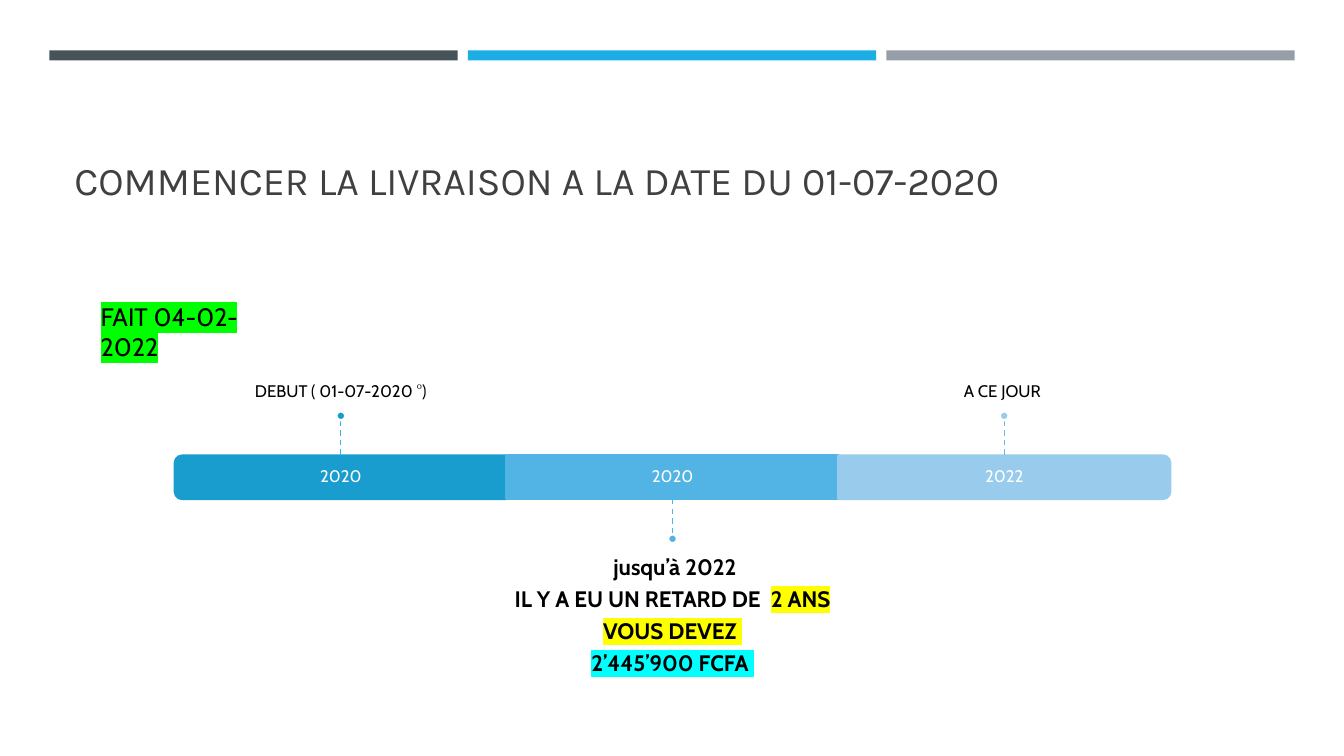
from dataclasses import dataclass

from lxml import etree
from pptx import Presentation
from pptx.dml.color import RGBColor
from pptx.enum import dml, shapes, text
from pptx.oxml.ns import qn
from pptx.util import Inches, Pt


@dataclass(frozen=True)
class Theme:
    heading_font: str = "Karla"
    body_font: str = "Cabin"
    title_size: int = 28
    note_size: int = 18
    detail_size: int = 16
    label_size: int = 12
    title: str = "404040"
    ink: str = "000000"
    white: str = "FFFFFF"
    green: str = "00FF00"
    yellow: str = "FFFF00"
    cyan: str = "00FFFF"
    header: tuple = ("465359", "1CADE4", "969FA7")
    segments: tuple = ("199DCF", "52B3E5", "99CBEC")
    stems: tuple = ("36B3E9", "48B8EC", "5ABEEF")


THEME = Theme()
SHAPE = shapes.MSO_SHAPE
ANCHOR = text.MSO_ANCHOR

# Timeline geometry in inches
FIRST_CENTER, PITCH = 3.38, 3.29
BAR_TOP, BAR_HEIGHT = 4.52, 0.43
STEM_LENGTH, DOT_SIZE = 0.35, 0.09
LABEL_WIDTH, LABEL_HEIGHT = 5.48, 1.52


def color(value):
    return RGBColor.from_string(value)


def add_block(slide, preset, left, top, width, height, fill, line=None):
    shape = slide.shapes.add_shape(
        preset, Inches(left), Inches(top), Inches(width), Inches(height))
    shape.shadow.inherit = False
    shape.fill.solid()
    shape.fill.fore_color.rgb = color(fill)
    if line:
        shape.line.color.rgb = color(line)
        shape.line.width = Pt(1.75)
    else:
        shape.line.fill.background()
    return shape


def format_run(run, font, size, ink, bold, highlight):
    run.font.name = font
    run.font.size = Pt(size)
    run.font.bold = bold
    run.font.color.rgb = color(ink)
    if highlight:
        mark = etree.Element(qn("a:highlight"))
        etree.SubElement(mark, qn("a:srgbClr"), val=highlight)
        run.font._element.find(qn("a:solidFill")).addnext(mark)


def add_text(slide, box, lines, size, ink=THEME.ink, font=THEME.body_font,
             anchor=ANCHOR.TOP, insets=(0.1, 0.05, 0.1, 0.05),
             centered=True, bold=False):
    """Each line is a list of (wording, highlight) pairs."""
    frame = slide.shapes.add_textbox(*map(Inches, box)).text_frame
    frame.word_wrap = True
    frame.vertical_anchor = anchor
    (frame.margin_left, frame.margin_top,
     frame.margin_right, frame.margin_bottom) = map(Inches, insets)
    for index, line in enumerate(lines):
        paragraph = frame.add_paragraph() if index else frame.paragraphs[0]
        if centered:
            paragraph.alignment = text.PP_ALIGN.CENTER
            paragraph.line_spacing = 0.9
            paragraph.space_after = Pt(0.35 * size)
        for wording, highlight in line:
            run = paragraph.add_run()
            run.text = wording
            format_run(run, font, size, ink, bold, highlight)


def add_stem(slide, center, start, end, ink):
    connector = slide.shapes.add_connector(
        shapes.MSO_CONNECTOR.STRAIGHT,
        Inches(center), Inches(start), Inches(center), Inches(end))
    connector.line.color.rgb = color(ink)
    connector.line.width = Pt(1)
    connector.line.dash_style = dml.MSO_LINE.DASH
    etree.SubElement(connector._element.spPr, qn("a:effectLst"))


def add_segment(slide, center, fill, rotation):
    """Draw a bar segment; a rotated one has rounded corners on its outer side."""
    middle = BAR_TOP + BAR_HEIGHT / 2
    preset, width, height = SHAPE.RECTANGLE, PITCH, BAR_HEIGHT
    if rotation:
        preset, width, height = SHAPE.ROUND_2_SAME_RECTANGLE, BAR_HEIGHT, PITCH
    shape = add_block(slide, preset, center - width / 2, middle - height / 2,
                      width, height, fill, fill)
    shape.rotation = rotation


def add_milestone(slide, index, year, lines, rotation, above):
    center = FIRST_CENTER + index * PITCH
    fill = THEME.segments[index]
    add_segment(slide, center, fill, rotation)
    add_text(slide, (center - PITCH / 2, BAR_TOP, PITCH, BAR_HEIGHT),
             [[(year, None)]], THEME.label_size, THEME.white,
             anchor=ANCHOR.MIDDLE, insets=(0.1,) * 4)

    # Label, stem and dot on one side of the bar
    left = center - LABEL_WIDTH / 2
    if above:
        start, end = BAR_TOP - STEM_LENGTH, BAR_TOP
        dot_top = start - DOT_SIZE
        add_text(slide, (left, dot_top - LABEL_HEIGHT, LABEL_WIDTH, LABEL_HEIGHT),
                 lines, THEME.label_size, anchor=ANCHOR.BOTTOM,
                 insets=(0, 0, 0, 0.1))
    else:
        start = BAR_TOP + BAR_HEIGHT
        dot_top = end = start + STEM_LENGTH
        add_text(slide, (left, end + DOT_SIZE, LABEL_WIDTH, LABEL_HEIGHT),
                 lines, THEME.detail_size, insets=(0, 0.13, 0, 0), bold=True)
    add_stem(slide, center, start, end, THEME.stems[index])
    add_block(slide, SHAPE.OVAL, center - DOT_SIZE / 2, dot_top,
              DOT_SIZE, DOT_SIZE, fill, THEME.white)


def main():
    presentation = Presentation()
    presentation.slide_width = Inches(13.33)
    presentation.slide_height = Inches(7.5)
    slide = presentation.slides.add_slide(presentation.slide_layouts[6])

    # Header bars
    for index, fill in enumerate(THEME.header):
        add_block(slide, SHAPE.RECTANGLE, 0.49 + index * 4.15, 0.5, 4.05, 0.1, fill)

    # Title
    add_text(slide, (0.64, 0.77, 12.06, 1.3),
             [[("COMMENCER LA LIVRAISON A LA DATE DU 01-07-2020", None)]],
             THEME.title_size, THEME.title, THEME.heading_font,
             anchor=ANCHOR.BOTTOM, centered=False)

    # Timeline
    delay = [
        [(" jusqu’à 2022", None)],
        [("IL Y A EU UN RETARD DE  ", None), ("2 ANS", THEME.yellow)],
        [("VOUS DEVEZ ", THEME.yellow)],
        [("2’445’900 FCFA ", THEME.cyan)],
    ]
    milestones = [
        ("2020", [[("DEBUT ( 01-07-2020 °)", None)]], 270, True),
        ("2020", delay, 0, False),
        ("2022", [[("A CE JOUR ", None)]], 90, True),
    ]
    for index, milestone in enumerate(milestones):
        add_milestone(slide, index, *milestone)

    # Completion note
    add_text(slide, (0.9, 2.94, 2.01, 0.7), [[("FAIT 04-02-2022", THEME.green)]],
             THEME.note_size, centered=False)

    presentation.save("out.pptx")


if __name__ == "__main__":
    main()
